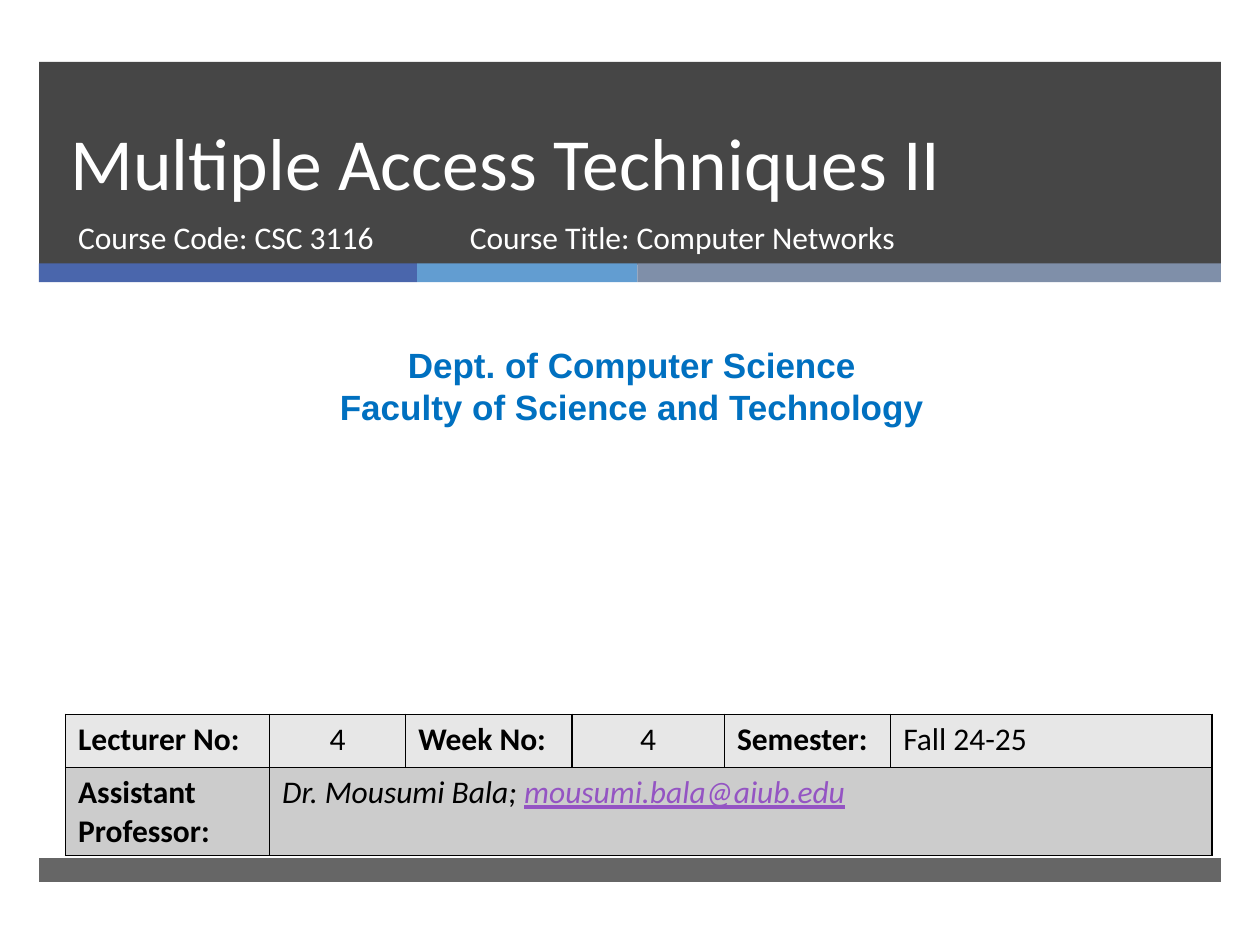
from lxml import etree
from pptx import Presentation
from pptx import util as u
from pptx.dml.color import RGBColor
from pptx.enum import shapes, text
from pptx.oxml.ns import qn

WHITE = RGBColor(0xFF, 0xFF, 0xFF)
BLACK = RGBColor(0, 0, 0)
DARK = RGBColor(0x26, 0x26, 0x26)
NAVY = RGBColor(0x4A, 0x66, 0xAC)
SKY = RGBColor(0x62, 0x9D, 0xD1)
SLATE = RGBColor(0x7F, 0x8F, 0xA9)
BLUE = RGBColor(0x00, 0x70, 0xC0)
PURPLE = RGBColor(0x94, 0x54, 0xC3)
ROW_FILLS = [RGBColor(0xE7, 0xE7, 0xE7), RGBColor(0xCC, 0xCC, 0xCC)]
LEFT, CENTER = text.PP_ALIGN.LEFT, text.PP_ALIGN.CENTER


def style(tf, size, color, name="Calibri", bold=False, align=LEFT):
    tf.word_wrap = True
    for p in tf.paragraphs:
        p.alignment = align
        p.space_before = u.Pt(0)
        for r in p.runs:
            r.font.size, r.font.name, r.font.bold = u.Pt(size), name, bold
            r.font.color.rgb = color


def place(sp, *box):
    sp.left, sp.top, sp.width, sp.height = map(u.Inches, box)


prs = Presentation()
prs.slide_width, prs.slide_height = u.Inches(10), u.Inches(7.5)
s = prs.slides.add_slide(prs.slide_layouts[0])
title, subtitle = s.shapes.title, s.placeholders[1]

# Header band, three-colour stripe and footer band, behind the title
MARGIN, BAND_W = 0.31, 9.38
bars = [
    (MARGIN, 0.49, BAND_W, 1.61, DARK, 85),
    (MARGIN, 2.09, 3, 0.15, NAVY, 100),
    (MARGIN + 3, 2.09, 1.75, 0.15, SKY, 100),
    (MARGIN + 4.75, 2.09, BAND_W - 4.75, 0.15, SLATE, 100),
    (MARGIN, 6.81, BAND_W, 0.19, DARK, 70),
]
for *box, color, opacity in bars:
    bar = s.shapes.add_shape(shapes.MSO_SHAPE.RECTANGLE, *map(u.Inches, box))
    bar.shadow.inherit = False
    bar.line.fill.background()
    bar.fill.solid()
    bar.fill.fore_color.rgb = color
    if opacity < 100:
        clr = bar.element.spPr.find(".//" + qn("a:srgbClr"))
        etree.SubElement(clr, qn("a:alpha"), val=str(opacity * 1000))
    title.element.addprevious(bar.element)

# Title and course lines
place(title, 0.46, 0.49, 8.54, 1.19)
tf = title.text_frame
tf.text = "Multiple Access Techniques II"
tf.vertical_anchor = text.MSO_ANCHOR.BOTTOM
tf.auto_size = text.MSO_AUTO_SIZE.NONE
style(tf, 42, WHITE)
tf.paragraphs[0].line_spacing = u.Pt(46)

place(subtitle, 0.52, 1.68, 3.05, 0.53)
tf = subtitle.text_frame
tf.text = "Course Code: CSC 3116"
tf.auto_size = text.MSO_AUTO_SIZE.NONE
style(tf, 18, WHITE)

course = s.shapes.add_textbox(*map(u.Inches, (3.63, 1.68, 4.55, 0.53)))
course.text_frame.text = "Course Title: Computer Networks"
style(course.text_frame, 18, WHITE)

dept = s.shapes.add_textbox(*map(u.Inches, (0.08, 2.68, 9.87, 0.77)))
dept.text_frame.text = "Dept. of Computer Science\nFaculty of Science and Technology"
style(dept.text_frame, 20, BLUE, "Arial", True, CENTER)

# Lecture details
COLS = [1.62, 1.08, 1.32, 1.21, 1.32, 2.55]
ROWS = [0.42, 0.7]
DETAILS = [
    ["Lecturer No:", "4", "Week No:", "4", "Semester:", "Fall 24-25"],
    ["Assistant Professor:", "Dr. Mousumi Bala; ", "", "", "", ""],
]
table = s.shapes.add_table(
    len(ROWS), len(COLS), *map(u.Inches, (0.52, 5.67, sum(COLS), sum(ROWS)))
).table
for col, width in zip(table.columns, COLS):
    col.width = u.Inches(width)
for row, height in zip(table.rows, ROWS):
    row.height = u.Inches(height)
table.cell(1, 1).merge(table.cell(1, 5))

for i, words in enumerate(DETAILS):
    for j, word in enumerate(words):
        cell = table.cell(i, j)
        if word:
            cell.text = word
        if (i, j) == (1, 1):
            cell.text_frame.paragraphs[0].add_run().text = "mousumi.bala@aiub.edu"
        style(cell.text_frame, 18, BLACK, bold=word.endswith(":"),
              align=CENTER if word == "4" else LEFT)
        tcPr = cell._tc.get_or_add_tcPr()
        for side in ("a:lnL", "a:lnR", "a:lnT", "a:lnB"):
            ln = etree.SubElement(tcPr, qn(side), w=str(u.Pt(1)))
            fill = etree.SubElement(ln, qn("a:solidFill"))
            etree.SubElement(fill, qn("a:srgbClr"), val=str(BLACK))
        cell.fill.solid()
        cell.fill.fore_color.rgb = ROW_FILLS[i]

name, email = table.cell(1, 1).text_frame.paragraphs[0].runs
name.font.italic = email.font.italic = True
email.font.underline = True
email.font.color.rgb = PURPLE

prs.save("out.pptx")
